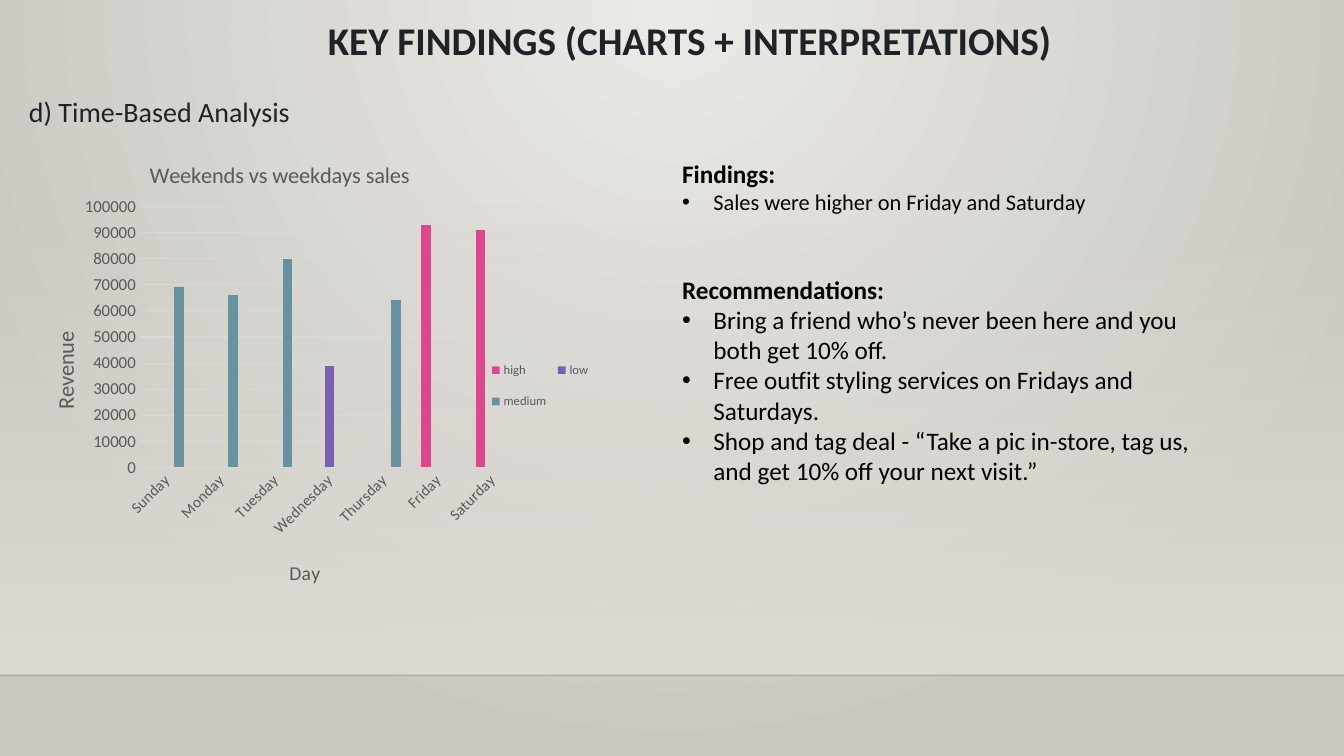
from collections import namedtuple

from lxml import etree
from pptx import Presentation
from pptx.chart.data import CategoryChartData
from pptx.dml.color import RGBColor
from pptx.enum.chart import XL_CHART_TYPE, XL_LEGEND_POSITION, XL_TICK_MARK
from pptx.enum.shapes import MSO_CONNECTOR, MSO_SHAPE
from pptx.enum.text import MSO_ANCHOR, PP_ALIGN
from pptx.oxml.ns import qn
from pptx.util import Cm, Pt

FONT = "Calibri"
INK = RGBColor(0x1F, 0x23, 0x28)
BLACK = RGBColor(0x00, 0x00, 0x00)
GRAY = RGBColor(0x59, 0x59, 0x59)
GRID = RGBColor(0xD9, 0xD9, 0xD9)
GLOW = RGBColor(0xEC, 0xEA, 0xE7)
EDGE = RGBColor(0xCA, 0xC7, 0xC1)
BAND = RGBColor(0xDF, 0xDB, 0xD5)
HORIZON = RGBColor(0x00, 0x00, 0x01)

Box = namedtuple("Box", "left top width height")

DAYS = ["Sunday", "Monday", "Tuesday", "Wednesday", "Thursday", "Friday", "Saturday"]
SALES = [
    ("high", [None, None, None, None, None, 93000, 91000], RGBColor(0xDE, 0x47, 0x8E)),
    ("low", [None, None, None, 39000, None, None, None], RGBColor(0x79, 0x5F, 0xAF)),
    ("medium", [69000, 66000, 80000, None, 64000, None, None], RGBColor(0x68, 0x92, 0xA0)),
]
FINDINGS = ["Sales were higher on Friday and Saturday"]
RECOMMENDATIONS = [
    "Bring a friend who’s never been here and you both get 10% off.",
    "Free outfit styling services on Fridays and Saturdays.",
    "Shop and tag deal - “Take a pic in-store, tag us, and get 10% off your next visit.”",
]


def set_font(font, size, color, bold=False):
    """Apply the slide's typeface with a size, colour and weight."""
    font.name, font.size, font.bold = FONT, Pt(size), bold
    font.color.rgb = color


def set_gradient(fill, colors):
    """Give a fill a two-stop gradient and return its XML element."""
    fill.gradient()
    for stop, color, position in zip(fill.gradient_stops, colors, (0, 1)):
        stop.color.rgb = color
        stop.position = position


def set_alpha(element, percent):
    """Set the opacity of the first colour inside an element."""
    color = next(element.iter(qn("a:srgbClr")))
    etree.SubElement(color, qn("a:alpha")).set("val", str(percent * 1000))


def add_backdrop(slide, box):
    """Draw the round glow, the fading wall and the horizon line."""
    background = slide.background
    set_gradient(background.fill, (GLOW, EDGE))
    gradient = next(slide.element.iter(qn("a:gradFill")))
    gradient.remove(gradient.find(qn("a:lin")))
    path = etree.SubElement(gradient, qn("a:path"), path="circle")
    etree.SubElement(path, qn("a:fillToRect"), l="43000", t="0", r="43000", b="100000")

    wall = slide.shapes.add_shape(MSO_SHAPE.RECTANGLE, *box)
    wall.shadow.inherit = False
    wall.line.fill.background()
    set_gradient(wall.fill, (BAND, BAND))
    wall.fill.gradient_angle = 270
    set_alpha(wall._element.spPr, 0)

    bottom = box.top + box.height
    horizon = slide.shapes.add_connector(
        MSO_CONNECTOR.STRAIGHT, box.left, bottom, box.left + box.width, bottom)
    horizon.line.color.rgb = HORIZON
    horizon.line.width = Pt(1)
    set_alpha(horizon._element.spPr, 20)
    etree.SubElement(horizon._element.spPr, qn("a:effectLst"))


def add_text(slide, box, text, size, color, bold=False):
    """Add a wrapping one-paragraph text box and return its text frame."""
    text_frame = slide.shapes.add_textbox(*box).text_frame
    text_frame.word_wrap = True
    text_frame.text = text
    set_font(text_frame.paragraphs[0].runs[0].font, size, color, bold)
    return text_frame


def add_title(slide, box):
    """Add the centred slide title."""
    text_frame = add_text(slide, box, "KEY FINDINGS (CHARTS + INTERPRETATIONS)", 28, INK, True)
    text_frame.vertical_anchor = MSO_ANCHOR.MIDDLE
    text_frame.paragraphs[0].alignment = PP_ALIGN.CENTER
    text_frame.paragraphs[0].line_spacing = 0.9


def add_subtitle(slide, box):
    """Add the section heading."""
    paragraph = add_text(slide, box, "d) Time-Based Analysis", 20, INK).paragraphs[0]
    paragraph.line_spacing = 1.2
    paragraph.space_before = Pt(10)


def add_bullets(slide, box, heading, items, size):
    """Add a bold heading followed by bulleted items."""
    text_frame = add_text(slide, box, heading, 18, BLACK, True)
    for item in items:
        paragraph = text_frame.add_paragraph()
        paragraph.text = item
        set_font(paragraph.runs[0].font, size, BLACK)
        properties = paragraph._p.get_or_add_pPr()
        properties.set("marL", str(Cm(0.79)))
        properties.set("indent", str(-Cm(0.79)))
        etree.SubElement(properties, qn("a:buFont"), typeface="Arial")
        etree.SubElement(properties, qn("a:buChar"), char="•")


def place(element, index, **fractions):
    """Fix a chart part at fractions of the chart area."""
    layout = element.find(qn("c:layout"))
    if layout is None:
        layout = etree.Element(qn("c:layout"))
        element.insert(index, layout)
    manual = etree.SubElement(layout, qn("c:manualLayout"))
    if element.tag == qn("c:plotArea"):
        etree.SubElement(manual, qn("c:layoutTarget"), val="inner")
    for key in ("x", "y"):
        etree.SubElement(manual, qn(f"c:{key}Mode"), val="edge")
    for key, value in fractions.items():
        etree.SubElement(manual, qn(f"c:{key}"), val=str(value))


def set_chart_title(title, text, size, x, y):
    """Write and place a chart title or an axis title."""
    title.text_frame.text = text
    set_font(title.text_frame.paragraphs[0].runs[0].font, size, GRAY)
    place(title._element, 1, x=x, y=y)


def add_sales_chart(slide, box):
    """Add the clustered columns of revenue by day."""
    data = CategoryChartData()
    data.categories = DAYS
    for name, values, _ in SALES:
        data.add_series(name, values)
    chart = slide.shapes.add_chart(XL_CHART_TYPE.COLUMN_CLUSTERED, *box, data).chart
    set_font(chart.font, 10, BLACK)
    chart.has_title = True
    set_chart_title(chart.chart_title, "Weekends vs weekdays sales", 16, 0.22, 0.04)
    place(chart._chartSpace.chart.plotArea, 0, x=0.21, y=0.15, w=0.65, h=0.56)

    plot = chart.plots[0]
    plot.vary_by_categories = False
    plot.gap_width, plot.overlap = 219, -27
    for series, (_, _, color) in zip(plot.series, SALES):
        series.format.fill.solid()
        series.format.fill.fore_color.rgb = color

    days, revenue = chart.category_axis, chart.value_axis
    for axis, size in ((days, 11), (revenue, 12)):
        set_font(axis.tick_labels.font, size, GRAY)
        axis.major_tick_mark = axis.minor_tick_mark = XL_TICK_MARK.NONE
    set_chart_title(days.axis_title, "Day", 14, 0.46, 0.9)
    set_chart_title(revenue.axis_title, "Revenue", 16, 0.05, 0.41)
    revenue.axis_title.text_frame._txBody.bodyPr.set("rot", "-5400000")
    days._element.find(qn("c:txPr")).find(qn("a:bodyPr")).set("rot", "-2700000")
    revenue.minimum_scale, revenue.maximum_scale, revenue.major_unit = 0, 100000, 10000
    revenue.tick_labels.number_format = "General"
    revenue.tick_labels.number_format_is_linked = False
    revenue.format.line.fill.background()
    for line in (days.format.line, revenue.major_gridlines.format.line):
        line.color.rgb = GRID
        line.width = Pt(0.75)

    chart.has_legend = True
    chart.legend.position = XL_LEGEND_POSITION.RIGHT
    chart.legend.include_in_layout = False
    set_font(chart.legend.font, 9, GRAY)
    place(chart.legend._element, 1, x=0.8, y=0.45, w=0.19, h=0.17)


def main():
    """Build the slide and save it."""
    presentation = Presentation()
    presentation.slide_width, presentation.slide_height = Cm(33.87), Cm(19.05)
    slide = presentation.slides.add_slide(presentation.slide_layouts[6])
    add_backdrop(slide, Box(0, Cm(5.61), presentation.slide_width, Cm(11.41)))
    add_title(slide, Box(Cm(4.04), Cm(0.36), Cm(26.67), Cm(1.42)))
    add_subtitle(slide, Box(Cm(0.48), Cm(2.08), Cm(32.94), Cm(1.3)))
    add_sales_chart(slide, Box(Cm(0.43), Cm(3.45), Cm(14.73), Cm(11.73)))
    add_bullets(slide, Box(Cm(16.94), Cm(3.86), Cm(13.8), Cm(1.7)), "Findings:", FINDINGS, 16)
    add_bullets(slide, Box(Cm(16.94), Cm(6.78), Cm(13.94), Cm(7.19)),
                "Recommendations:", RECOMMENDATIONS, 18)
    presentation.save("out.pptx")


if __name__ == "__main__":
    main()
